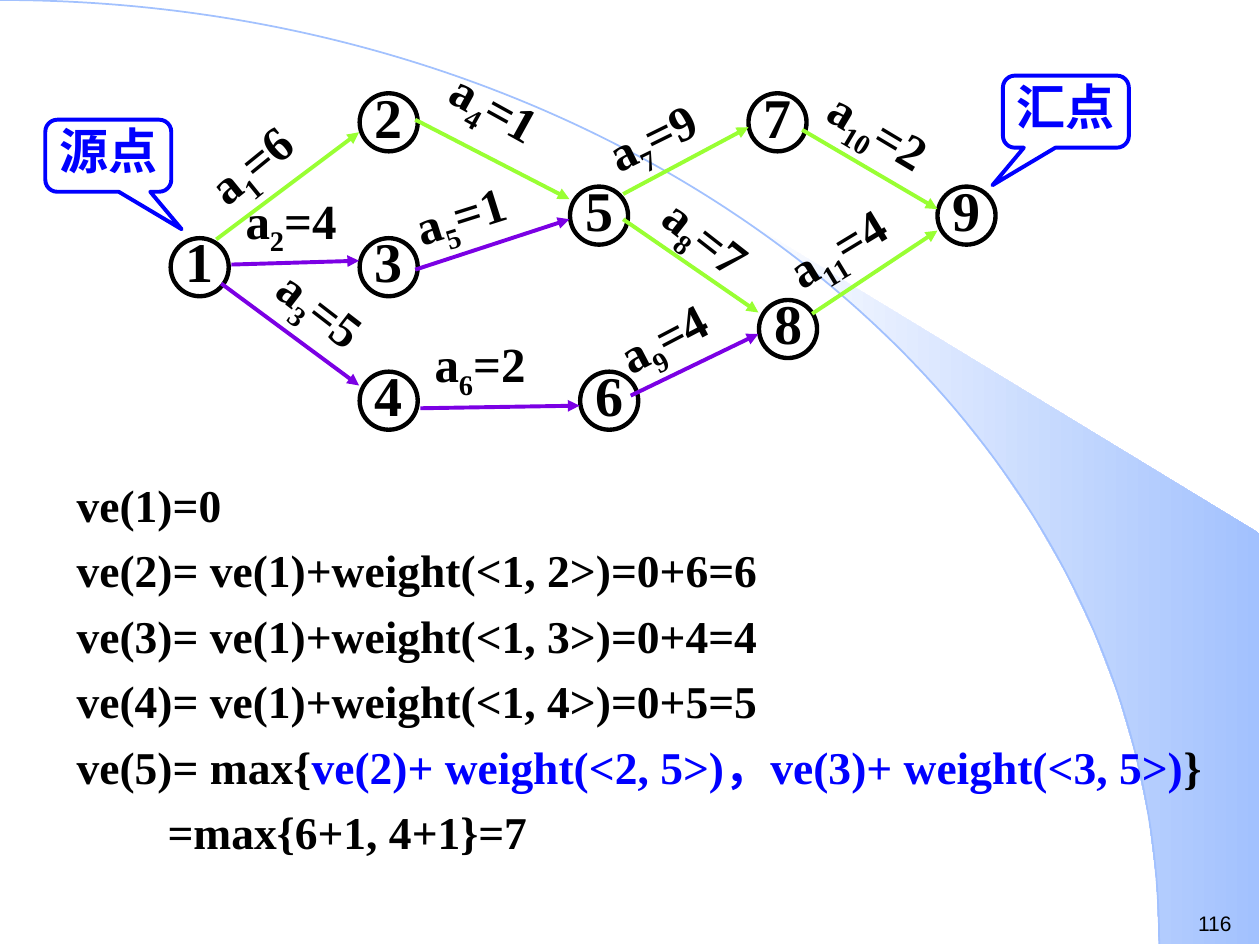
from math import asin, cos, pi, sin

from lxml.etree import SubElement
from pptx import Presentation
from pptx.dml.color import RGBColor
from pptx.enum.shapes import MSO_CONNECTOR, MSO_SHAPE
from pptx.enum.text import MSO_ANCHOR, PP_ALIGN
from pptx.oxml.ns import qn
from pptx.util import Pt

BLACK, BLUE, GREEN, PURPLE, SKY = "000000", "0000FF", "99FF33", "7B00E4", "A2C1FE"
SERIF = "Times New Roman"


def color(hex_text):
    return RGBColor.from_string(hex_text)


def add_span(para, text, size, hex_text=BLACK, font=SERIF, bold=True):
    """Append one formatted run and return it."""
    span = para.add_run()
    span.text = text
    span.font.size = Pt(size)
    span.font.name = font
    span.font.bold = bold
    span.font.color.rgb = color(hex_text)
    return span


deck = Presentation()
deck.slide_width, deck.slide_height = Pt(720), Pt(540)
page = deck.slides.add_slide(deck.slide_layouts[6])
shapes = page.shapes

# Background: the shaded band outside the lower part of a quarter ellipse
ARC_WIDTH, ARC_HEIGHT, STEPS = 662.4, 539.3, 13
first = asin(0.64)
angles = [first + (pi / 2 - first) * step / STEPS for step in range(STEPS + 1)]
band_points = [(Pt(ARC_WIDTH * sin(a)), Pt(ARC_HEIGHT * (1 - cos(a)))) for a in angles]
band_points += [(Pt(719.3), Pt(539.3)), (Pt(719.3), Pt(304.6))]
builder = shapes.build_freeform(*band_points[0])
builder.add_line_segments(band_points[1:], close=True)
band = builder.convert_to_shape()
band.shadow.inherit = False
band.line.fill.background()
band.fill.gradient()
band.fill.gradient_angle = 0
for stop, hex_text in zip(band.fill.gradient_stops, ("FFFFFF", SKY)):
    stop.color.rgb = color(hex_text)

# The quarter ellipse itself: one line segment turned into a Bézier curve
builder = shapes.build_freeform(0, 0)
builder.add_line_segments([(Pt(ARC_WIDTH), Pt(ARC_HEIGHT))], close=False)
curve = builder.convert_to_shape()
curve.shadow.inherit = False
curve.fill.background()
curve.line.color.rgb = color(SKY)
curve.line.width = Pt(1)
segment = next(curve._element.iter(qn("a:lnTo")))
segment.tag = qn("a:cubicBezTo")
for index, (x, y) in enumerate([(ARC_WIDTH * 0.552, 0), (ARC_WIDTH, ARC_HEIGHT * 0.448)]):
    control = segment.makeelement(qn("a:pt"), {"x": str(Pt(x)), "y": str(Pt(y))})
    segment.insert(index, control)

# Page number
box = shapes.add_textbox(Pt(677.5), Pt(517), Pt(42.5), Pt(21.6))
add_span(box.text_frame.paragraphs[0], "116", 12, font="Arial", bold=False)

# Earliest event times
box = shapes.add_textbox(Pt(36.7), Pt(264.2), Pt(660.2), Pt(266.4))
box.text_frame.word_wrap = True
derivation = [
    [("ve(1)=0", BLACK)],
    [("ve(2)= ve(1)+weight(<1, 2>)=0+6=6", BLACK)],
    [("ve(3)= ve(1)+weight(<1, 3>)=0+4=4", BLACK)],
    [("ve(4)= ve(1)+weight(<1, 4>)=0+5=5", BLACK)],
    [("ve(5)= max{", BLACK),
     ("ve(2)+ weight(<2, 5>)，ve(3)+ weight(<3, 5>)", BLUE),
     ("}", BLACK)],
    [("=max{6+1, 4+1}=7", BLACK)],
]
for index, line in enumerate(derivation):
    para = box.text_frame.paragraphs[0] if index == 0 else box.text_frame.add_paragraph()
    para.line_spacing = 1.15
    para.space_before = Pt(1.6 if index else 0)
    for text, hex_text in line:
        add_span(para, text, 26, hex_text)
para._p.get_or_add_pPr().set("marL", str(Pt(52)))

# Event nodes: number, left, top
NODE_SIZE = 33.2
nodes = [
    (1, 97.5, 136.1), (2, 205.5, 53.3), (3, 205.5, 136.1),
    (4, 205.5, 212.4), (5, 325.7, 106.6), (6, 331.5, 212.4),
    (7, 427.7, 53.3), (8, 433.7, 171.4), (9, 535.7, 106.6),
]
for number, left, top in nodes:
    circle = shapes.add_shape(MSO_SHAPE.OVAL, Pt(left), Pt(top), Pt(NODE_SIZE), Pt(NODE_SIZE))
    circle.shadow.inherit = False
    circle.fill.background()
    circle.line.color.rgb = color(BLACK)
    circle.line.width = Pt(2.5)
    box = shapes.add_textbox(Pt(left), Pt(top - 10), Pt(NODE_SIZE), Pt(46))
    box.text_frame.margin_left = box.text_frame.margin_right = 0
    box.text_frame.word_wrap = True
    para = box.text_frame.paragraphs[0]
    para.alignment = PP_ALIGN.CENTER
    add_span(para, str(number), 32)

# Activities a1 to a11: weight, colour, arrow start and end, label left, top, angle
activities = [
    (6, GREEN, (123.6, 136.8), (205.2, 75.6), (100.4, 67, -39.1)),
    (4, PURPLE, (132.2, 151.2), (205.2, 149), (133.2, 105.1, 0)),
    (5, PURPLE, (126.4, 162), (205.2, 220.3), (145.4, 166.3, 37.7)),
    (1, GREEN, (237.3, 68.4), (325.4, 113.8), (247, 49, 28.9)),
    (1, PURPLE, (237.3, 154.1), (325.4, 125.3), (229.7, 96.5, -17.6)),
    (2, PURPLE, (240.2, 233.3), (331.2, 231.8), (241.2, 187.2, 0)),
    (9, GREEN, (356.1, 110.9), (427.7, 72.7), (338.4, 49, -26.2)),
    (7, GREEN, (356.1, 125.3), (433.4, 178.6), (365.8, 125.3, 38)),
    (4, PURPLE, (360.4, 226.1), (433.4, 190.8), (344.9, 163.4, -27.6)),
    (2, GREEN, (458.4, 74.2), (535.7, 119.5), (462.2, 60.5, 30.9)),
    (4, GREEN, (464.1, 179.3), (535.7, 131.8), (440.6, 113, -31.2)),
]
for number, (weight, hex_text, start, end, label) in enumerate(activities, 1):
    arrow = shapes.add_connector(MSO_CONNECTOR.STRAIGHT, *map(Pt, start + end))
    arrow.line.color.rgb = color(hex_text)
    arrow.line.width = Pt(2.25)
    SubElement(arrow.line._get_or_add_ln(), qn("a:tailEnd"), type="triangle")
    SubElement(arrow._element.spPr, qn("a:effectLst"))

    left, top, angle = label
    # The first label is narrower, so its turning point lies further left
    width = 84.2 if number == 1 else 102.2
    box = shapes.add_textbox(Pt(left + (9 if number == 1 else 0)), Pt(top), Pt(width), Pt(45.4))
    box.rotation = angle
    box.text_frame.word_wrap = True
    para = box.text_frame.paragraphs[0]
    add_span(para, "a", 28)
    subscript = add_span(para, str(number), 28)
    subscript.font._element.set("baseline", "-25000")
    add_span(para, f"={weight}", 28)

# Source and sink callouts: text, left, top, pointer side
for text, left, top, pointer in (("汇点", 573.1, 43.2, -0.583), ("源点", 25.9, 68.4, 0.583)):
    callout = shapes.add_shape(
        MSO_SHAPE.ROUNDED_RECTANGULAR_CALLOUT, Pt(left), Pt(top), Pt(72), Pt(41.2))
    callout.adjustments[0] = pointer
    callout.adjustments[1] = 1.021
    callout.shadow.inherit = False
    callout.fill.background()
    callout.line.color.rgb = color(BLUE)
    callout.line.width = Pt(2.25)
    frame = callout.text_frame
    frame.margin_left = frame.margin_right = frame.margin_top = 0
    frame.margin_bottom = Pt(6.8)
    frame.vertical_anchor = MSO_ANCHOR.MIDDLE
    frame.word_wrap = False
    para = frame.paragraphs[0]
    para.alignment = PP_ALIGN.CENTER
    add_span(para, text, 28, BLUE)

deck.save("out.pptx")
